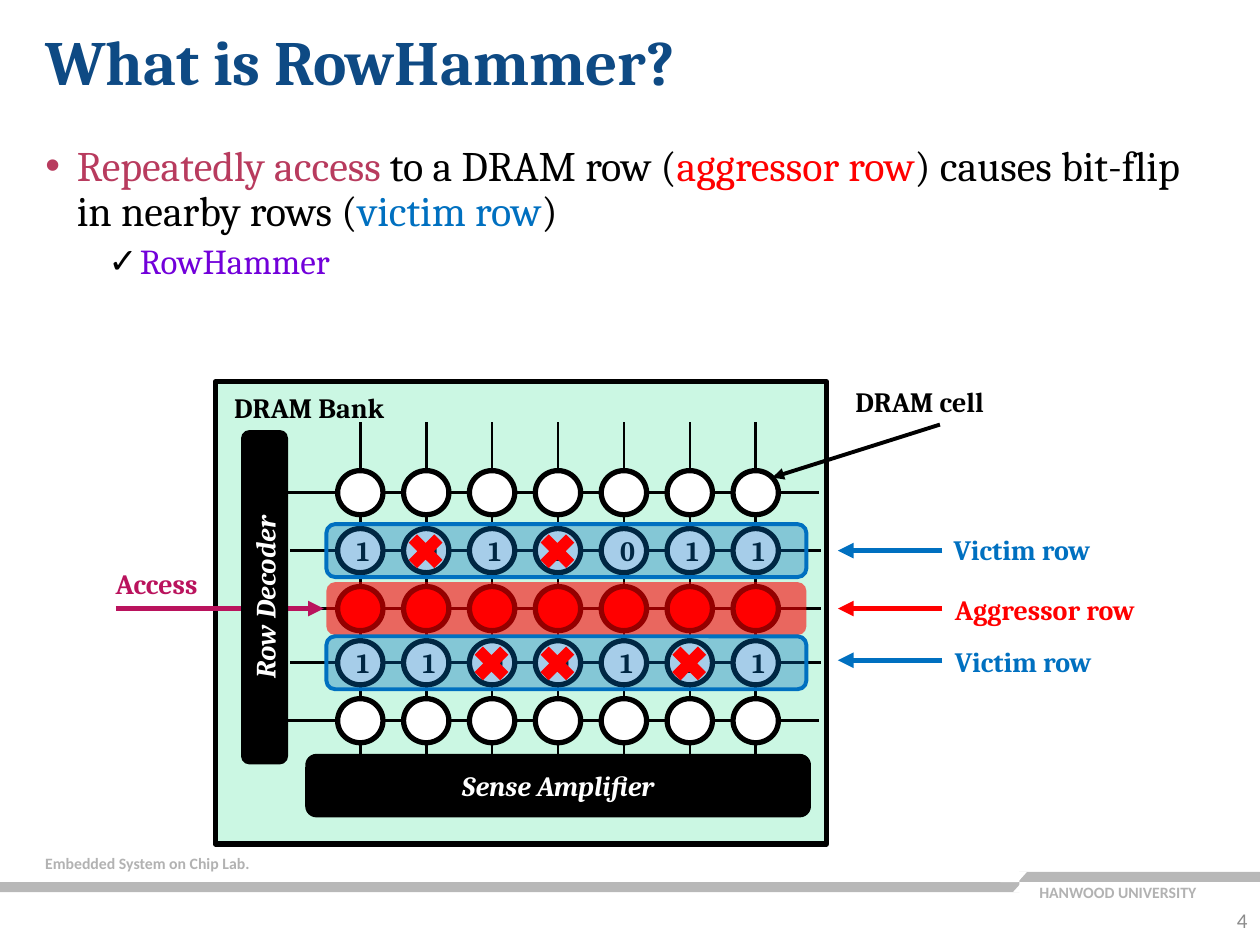
import pptx
import pptx.util
import pptx.dml.color
import pptx.enum.shapes
import pptx.enum.text
import pptx.oxml
import pptx.oxml.ns
from dataclasses import dataclass

Inches = pptx.util.Inches
SHAPE = pptx.enum.shapes.MSO_SHAPE
ALIGN = pptx.enum.text.PP_ALIGN
ANCHOR = pptx.enum.text.MSO_ANCHOR
NO_FIT = pptx.enum.text.MSO_AUTO_SIZE.NONE


@dataclass(frozen=True)
class Theme:
    serif: str = "Cambria"
    sans: str = "Calibri"
    black: str = "000000"
    white: str = "FFFFFF"
    navy: str = "0E4A84"
    rose: str = "B83B5E"
    red: str = "FF0000"
    blue: str = "0070C0"
    violet: str = "7200DA"
    access: str = "BA135D"
    mint: str = "CAF7E3"
    bar: str = "B8B8B8"
    footer: str = "B2B2B2"
    number: str = "8C8C8C"
    title_size: int = 36
    body_size: int = 24
    sub_size: int = 20
    label_size: int = 16
    number_size: int = 12
    footer_size: int = 9


THEME = Theme()

# Cell grid: column centres, row centres and the bits held by the victim rows
COLUMNS = [2.86 + 0.523 * i for i in range(7)]
ROWS = [3.91, 4.37, 4.83, 5.26, 5.72]
AGGRESSOR = 2
VICTIM_BITS = {1: "1011011", 3: "1100111"}
FLIPPED = {1: [1, 3], 3: [2, 3, 5]}
CELL_W, CELL_H = 0.36, 0.35


def rgb(color):
    return pptx.dml.color.RGBColor.from_string(color)


def add_xml(parent, tag, **attributes):
    element = pptx.oxml.parse_xml(f"<{tag} {pptx.oxml.ns.nsdecls('a')}/>")
    for key, value in attributes.items():
        element.set(key, str(value))
    parent.append(element)
    return element


def write(paragraph, text, size=THEME.label_size, color=THEME.black,
          font=THEME.serif, bold=False, italic=False, align=None):
    run = paragraph.add_run()
    run.text = text
    run.font.size = pptx.util.Pt(size)
    run.font.name = font
    run.font.bold = bold
    run.font.italic = italic
    run.font.color.rgb = rgb(color)
    if align is not None:
        paragraph.alignment = align


def add_label(slide, text, x, y, w, h=0.37, anchor=ANCHOR.TOP, **style):
    frame = slide.shapes.add_textbox(*map(Inches, (x, y, w, h))).text_frame
    frame.word_wrap = True
    frame.vertical_anchor = anchor
    write(frame.paragraphs[0], text, **style)


def add_block(slide, kind, x, y, w, h, fill, line=None, width=1, alpha=None,
              adjust=None, text="", **style):
    block = slide.shapes.add_shape(kind, *map(Inches, (x, y, w, h)))
    block.shadow.inherit = False
    block.fill.solid()
    block.fill.fore_color.rgb = rgb(fill)
    if alpha is not None:
        color = block.fill._xPr.find(".//" + pptx.oxml.ns.qn("a:srgbClr"))
        add_xml(color, "a:alpha", val=alpha * 1000)
    if line:
        block.line.color.rgb = rgb(line)
        block.line.width = pptx.util.Pt(width)
    else:
        block.line.fill.background()
    if adjust is not None:
        block.adjustments[0] = adjust
    if text:
        block.text_frame.vertical_anchor = ANCHOR.MIDDLE
        write(block.text_frame.paragraphs[0], text, align=ALIGN.CENTER, bold=True, **style)
    return block


def add_line(slide, x1, y1, x2, y2, color=THEME.black, width=1.5, arrow=False):
    line = slide.shapes.add_connector(
        pptx.enum.shapes.MSO_CONNECTOR.STRAIGHT, *map(Inches, (x1, y1, x2, y2)))
    line.line.color.rgb = rgb(color)
    line.line.width = pptx.util.Pt(width)
    if arrow:
        add_xml(line.line._get_or_add_ln(), "a:tailEnd", type="triangle")
    add_xml(line._element.spPr, "a:effectLst")


def place(placeholder, x, y, w, h):
    placeholder.left, placeholder.top, placeholder.width, placeholder.height = map(
        Inches, (x, y, w, h))
    frame = placeholder.text_frame
    frame.auto_size = NO_FIT
    frame.vertical_anchor = ANCHOR.TOP
    return frame


def format_paragraph(paragraph, before, indent=0, bullet=None, bullet_color=THEME.black):
    paragraph.line_spacing = 0.9
    paragraph.space_before = pptx.util.Pt(before)
    if bullet:
        properties = paragraph._p.get_or_add_pPr()
        properties.set("marL", str(Inches(indent)))
        properties.set("indent", str(Inches(-0.25)))
        add_xml(add_xml(properties, "a:buClr"), "a:srgbClr", val=bullet_color)
        add_xml(properties, "a:buFont", typeface="Arial")
        add_xml(properties, "a:buChar", char=bullet)


def add_footer(slide):
    footer = dict(size=THEME.footer_size, font=THEME.sans, color=THEME.footer, bold=True)
    add_label(slide, "HANWOOD UNIVERSITY", 8.15, 6.96, 1.6, 0.25, **footer)
    add_block(slide, SHAPE.RECTANGLE, 0, 7, 8.09, 0.08, THEME.bar)
    add_block(slide, SHAPE.RECTANGLE, 8.09, 6.92, 1.91, 0.08, THEME.bar)
    for x, y in ((8.04, 7), (7.94, 6.92)):
        add_block(slide, SHAPE.PARALLELOGRAM, x, y, 0.21, 0.08, THEME.white, adjust=0.9)
    add_label(slide, "Embedded System on Chip Lab.", 0.26, 6.73, 1.91, 0.25, **footer)
    add_label(slide, "4", 9.54, 7.1, 0.46, 0.4, anchor=ANCHOR.MIDDLE, align=ALIGN.RIGHT,
              size=THEME.number_size, font=THEME.sans, color=THEME.number)


def add_text(slide):
    title = place(slide.shapes.title, 0.26, 0.2, 9.42, 0.71).paragraphs[0]
    format_paragraph(title, 10)
    write(title, "What is RowHammer?", size=THEME.title_size, color=THEME.navy,
          bold=True, align=ALIGN.LEFT)

    body = place(slide.placeholders[1], 0.26, 1.1, 9.42, 1.73)
    definition = body.paragraphs[0]
    format_paragraph(definition, 10, 0.25, "•", THEME.rose)
    for text, color in (("Repeatedly access", THEME.rose),
                        (" to a DRAM row (", THEME.black),
                        ("aggressor row", THEME.red),
                        (") causes bit-flip in nearby rows (", THEME.black),
                        ("victim row", THEME.blue),
                        (")", THEME.black)):
        write(definition, text, size=THEME.body_size, color=color)
    term = body.add_paragraph()
    term.level = 1
    format_paragraph(term, 5, 0.75, "✓")
    write(term, "RowHammer", size=THEME.sub_size, color=THEME.violet)


def add_bank(slide):
    add_block(slide, SHAPE.RECTANGLE, 1.71, 3.03, 4.85, 3.67, THEME.mint,
              THEME.black, 3, alpha=97)
    # Bit lines and word lines
    for x in COLUMNS:
        add_line(slide, x, 3.35, x, 6.06)
    for row, y in enumerate(ROWS):
        start = 2.28 if row in (0, 4) else 2.3
        add_line(slide, start, y, start + 4.22, y)
    # The access passes behind the row decoder, so the decoder label stays clear
    add_line(slide, 0.92, ROWS[AGGRESSOR], 2.57, ROWS[AGGRESSOR], THEME.access, 3, arrow=True)
    # Peripheral circuits
    unit = dict(fill=THEME.black, line=THEME.black, color=THEME.white, italic=True)
    decoder = add_block(slide, SHAPE.ROUNDED_RECTANGLE, 0.78, 4.56, 2.64, 0.36,
                        text="Row Decoder", **unit)
    decoder.rotation = 270
    add_block(slide, SHAPE.ROUNDED_RECTANGLE, 2.43, 5.99, 4, 0.49,
              text="Sense Amplifier", **unit)
    # Cells
    for row, y in enumerate(ROWS):
        fill = THEME.red if row == AGGRESSOR else THEME.white
        bits = VICTIM_BITS.get(row, [""] * len(COLUMNS))
        for x, bit in zip(COLUMNS, bits):
            add_block(slide, SHAPE.OVAL, x - CELL_W / 2, y - CELL_H / 2, CELL_W, CELL_H,
                      fill, THEME.black, 3, text=bit)
    # Row highlights and flipped bits
    band = dict(x=2.59, w=3.81, h=0.42)
    add_block(slide, SHAPE.ROUNDED_RECTANGLE, y=ROWS[AGGRESSOR] - 0.21, fill=THEME.red,
              alpha=58, **band)
    for row, flipped in FLIPPED.items():
        add_block(slide, SHAPE.ROUNDED_RECTANGLE, y=ROWS[row] - 0.21, fill=THEME.blue,
                  alpha=35, line=THEME.blue, width=2.25, **band)
        for column in flipped:
            add_block(slide, SHAPE.MATH_MULTIPLY, COLUMNS[column] - 0.2, ROWS[row] - 0.19,
                      0.39, 0.39, THEME.red, adjust=0.235)
    add_label(slide, "DRAM Bank", 1.76, 3.05, 1.42, bold=True)


def add_callouts(slide):
    add_line(slide, 7.46, 3.37, 6.13, 3.79, width=2.25, arrow=True)
    add_label(slide, "DRAM cell", 6.69, 3, 1.55, bold=True)
    for text, arrow_y, x, y, color in (("Victim row", 4.37, 7.47, 4.18, THEME.blue),
                                       ("Aggressor row", 4.83, 7.48, 4.65, THEME.red),
                                       ("Victim row", 5.24, 7.48, 5.07, THEME.blue)):
        add_line(slide, 7.48, arrow_y, 6.65, arrow_y, color, 3, arrow=True)
        add_label(slide, text, x, y, 1.7, color=color, bold=True)
    add_label(slide, "Access", 0.82, 4.45, 1.11, color=THEME.access, bold=True)


def main():
    deck = pptx.Presentation()
    deck.slide_width, deck.slide_height = Inches(10), Inches(7.5)
    slide = deck.slides.add_slide(deck.slide_layouts[1])
    add_footer(slide)
    add_text(slide)
    add_bank(slide)
    add_callouts(slide)
    deck.save("out.pptx")


main()
